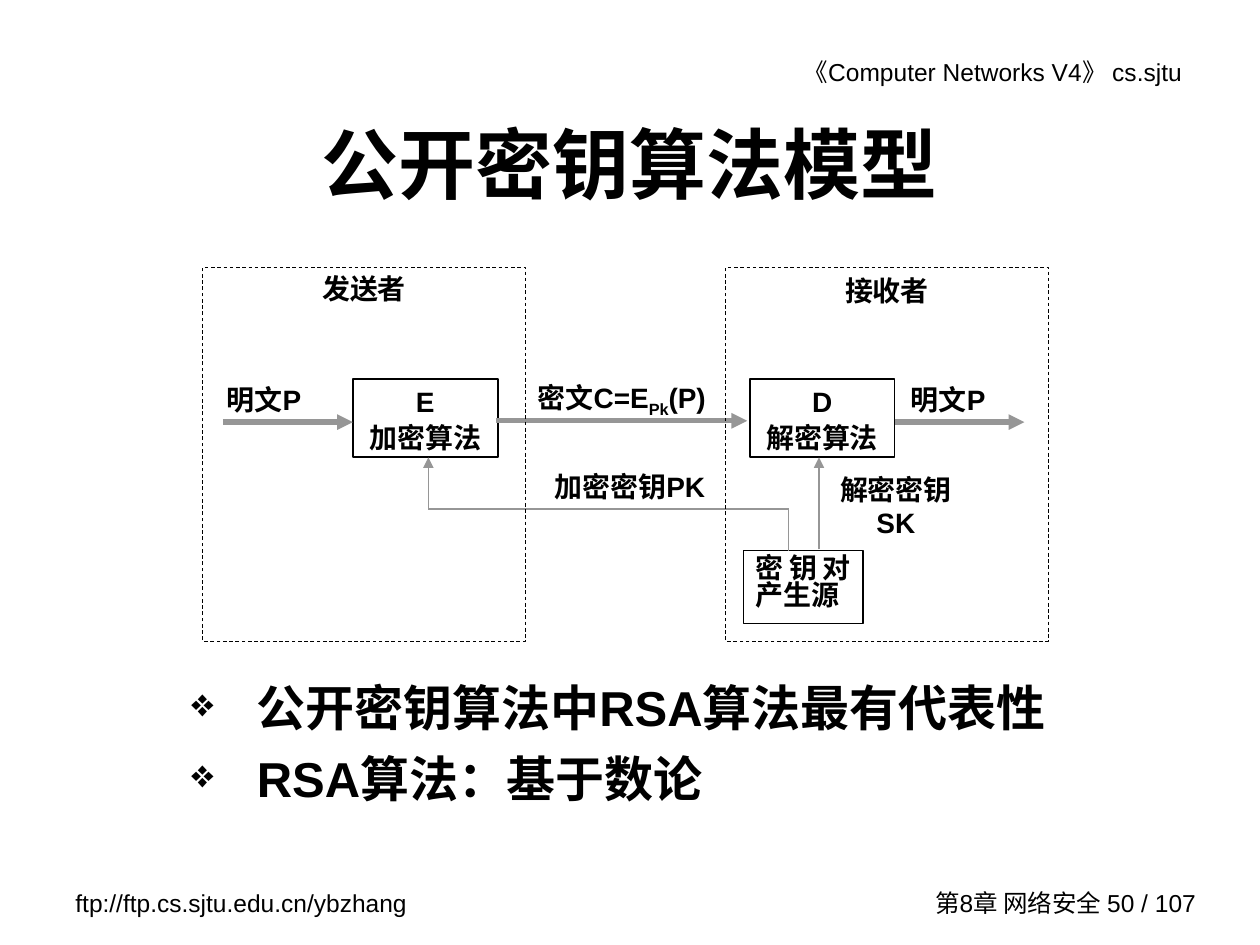
from lxml import etree
from pptx import Presentation, util as u
from pptx.dml.color import RGBColor
from pptx.enum import dml, shapes, text
from pptx.oxml.ns import qn

BLACK = RGBColor(0x00, 0x00, 0x00)
GRAY = RGBColor(0x96, 0x96, 0x96)
FONT = "Arial"
LEFT, CENTER, RIGHT, JUSTIFY = (
    text.PP_ALIGN.LEFT, text.PP_ALIGN.CENTER, text.PP_ALIGN.RIGHT, text.PP_ALIGN.JUSTIFY)
WIDE, TIGHT = (0.1, 0.05, 0.1, 0.05), (0.04,) * 4

# Content: areas are left, top, width, height in inches
TITLE = "公开密钥算法模型"
BULLETS = ["公开密钥算法中RSA算法最有代表性", "RSA算法：基于数论"]
MARGIN_TEXTS = [  # words, area, alignment, insets, anchor
    ("《Computer Networks V4》 cs.sjtu", (5.22, 0.4, 4.36, 0.34), RIGHT,
     (0.1, 0.05, 0.2, 0.05), text.MSO_ANCHOR.TOP),
    ("ftp://ftp.cs.sjtu.edu.cn/ybzhang", (0.5, 7, 2.92, 0.34), LEFT,
     WIDE, text.MSO_ANCHOR.TOP),
    ("第8章 网络安全 50 / 107", (7.18, 7, 2.41, 0.33), RIGHT,
     WIDE, text.MSO_ANCHOR.MIDDLE),
]
PARTIES = [("发送者", 1.61, 0.96), ("接收者", 5.76, 1.0)]  # words, left, line spacing
ALGORITHMS = [("E\n加密算法", 2.8), ("D\n解密算法", 5.95)]
KEY_SOURCE = ("密钥对产生源", (5.9, 4.37, 0.95, 0.58))
LABELS = [
    ("明文P", (1.64, 3.01, 0.91, 0.45)),
    ("明文P", (7.07, 3.01, 0.91, 0.45)),
    ("解密密钥SK", (6.5, 3.73, 1.22, 0.45)),
    ("加密密钥PK", (4.12, 3.7, 1.76, 0.39)),
]
CIPHER_RUNS = ["密文C=E", "Pk", "(P)"]
CIPHER_AREA = (4.21, 2.98, 1.45, 0.45)
FLOWS = [  # start, end, line width, arrowhead
    ((1.77, 3.35), (2.8, 3.35), 3, True),
    ((7.1, 3.35), (8.13, 3.35), 3, True),
    ((3.94, 3.34), (5.93, 3.34), 3, True),
    ((6.26, 4.37), (6.26, 4.04), 0.75, False),
    ((6.26, 4.04), (3.4, 4.04), 0.75, False),
    ((3.4, 4.04), (3.4, 3.63), 0.75, True),
    ((6.5, 4.36), (6.5, 3.63), 0.75, True),
]


def inches(values):
    return [u.Inches(value) for value in values]


def write(box, words, size, bold=True, align=CENTER, insets=TIGHT,
          anchor=text.MSO_ANCHOR.TOP, spacing=None):
    frame = box.text_frame
    frame.text = words
    frame.word_wrap = True
    frame.vertical_anchor = anchor
    (frame.margin_left, frame.margin_top,
     frame.margin_right, frame.margin_bottom) = inches(insets)
    for para in frame.paragraphs:
        para.alignment = align
        para.line_spacing = spacing
        for span in para.runs:
            style(span, size, bold)


def style(span, size, bold):
    span.font.name = FONT
    span.font.size = u.Pt(size)
    span.font.bold = bold
    span.font.color.rgb = BLACK


def add_text(page, words, area, size=16, **options):
    box = page.shapes.add_textbox(*inches(area))
    write(box, words, size, **options)
    return box


def add_box(page, words, area, width, **options):
    box = page.shapes.add_shape(shapes.MSO_SHAPE.RECTANGLE, *inches(area))
    box.shadow.inherit = False
    box.fill.background()
    box.line.color.rgb = BLACK
    box.line.width = u.Pt(width)
    write(box, words, 16, **options)
    return box


def add_flow(page, start, end, width, arrow):
    flow = page.shapes.add_connector(
        shapes.MSO_CONNECTOR.STRAIGHT, *inches(start + end))
    flow.line.color.rgb = GRAY
    flow.line.width = u.Pt(width)
    if arrow:
        etree.SubElement(flow.line._get_or_add_ln(), qn("a:tailEnd"), type="triangle")
    etree.SubElement(flow._element.spPr, qn("a:effectLst"))


def add_bullet(para):
    props = para._p.get_or_add_pPr()
    indent = u.Inches(0.52)
    props.set("marL", str(indent))
    props.set("indent", str(-indent))
    color = etree.SubElement(props, qn("a:buClr"))
    etree.SubElement(color, qn("a:srgbClr"), val=str(BLACK))
    etree.SubElement(props, qn("a:buSzPct"), val="80000")
    etree.SubElement(props, qn("a:buChar"), char="❖")


def main():
    deck = Presentation()
    deck.slide_width, deck.slide_height = inches((10, 7.5))
    page = deck.slides.add_slide(deck.slide_layouts[5])

    # Header and footer
    for words, area, align, insets, anchor in MARGIN_TEXTS:
        add_text(page, words, area, 14, bold=False, align=align,
                 insets=insets, anchor=anchor)

    # Title
    title = page.shapes.title
    title.left, title.top, title.width, title.height = inches((0.75, 0.67, 8.5, 1.25))
    write(title, TITLE, 44, insets=WIDE, anchor=text.MSO_ANCHOR.MIDDLE)

    # Bullets
    body = add_text(page, "\n".join(BULLETS), (1.42, 5.33, 7.25, 1.25), 28,
                    align=LEFT, insets=WIDE)
    for index, para in enumerate(body.text_frame.paragraphs):
        add_bullet(para)
        para.space_before = u.Pt(7 if index else 0)

    # Algorithms and key source
    for words, left in ALGORITHMS:
        box = add_box(page, words, (left, 3.01, 1.15, 0.62), 1)
        name = box.text_frame.paragraphs[1]
        name.line_spacing = 0.96
        name.space_before = name.space_after = u.Pt(3)
    words, area = KEY_SOURCE
    add_box(page, words, area, 0.75, align=JUSTIFY, insets=WIDE, spacing=0.8)

    # Flows
    for flow in FLOWS:
        add_flow(page, *flow)

    # Labels
    for words, area in LABELS:
        add_text(page, words, area, spacing=0.96)
    cipher = add_text(page, CIPHER_RUNS[0], CIPHER_AREA, spacing=0.96)
    para = cipher.text_frame.paragraphs[0]
    for words in CIPHER_RUNS[1:]:
        span = para.add_run()
        span.text = words
        style(span, 16, True)
    para.runs[1].font._element.set("baseline", "-25000")

    # Sender and receiver frames
    for words, left, spacing in PARTIES:
        frame = add_box(page, words, (left, 2.12, 2.56, 2.97), 0.5,
                        insets=WIDE, spacing=spacing)
        frame.line.dash_style = dml.MSO_LINE.DASH

    deck.save("out.pptx")


if __name__ == "__main__":
    main()
